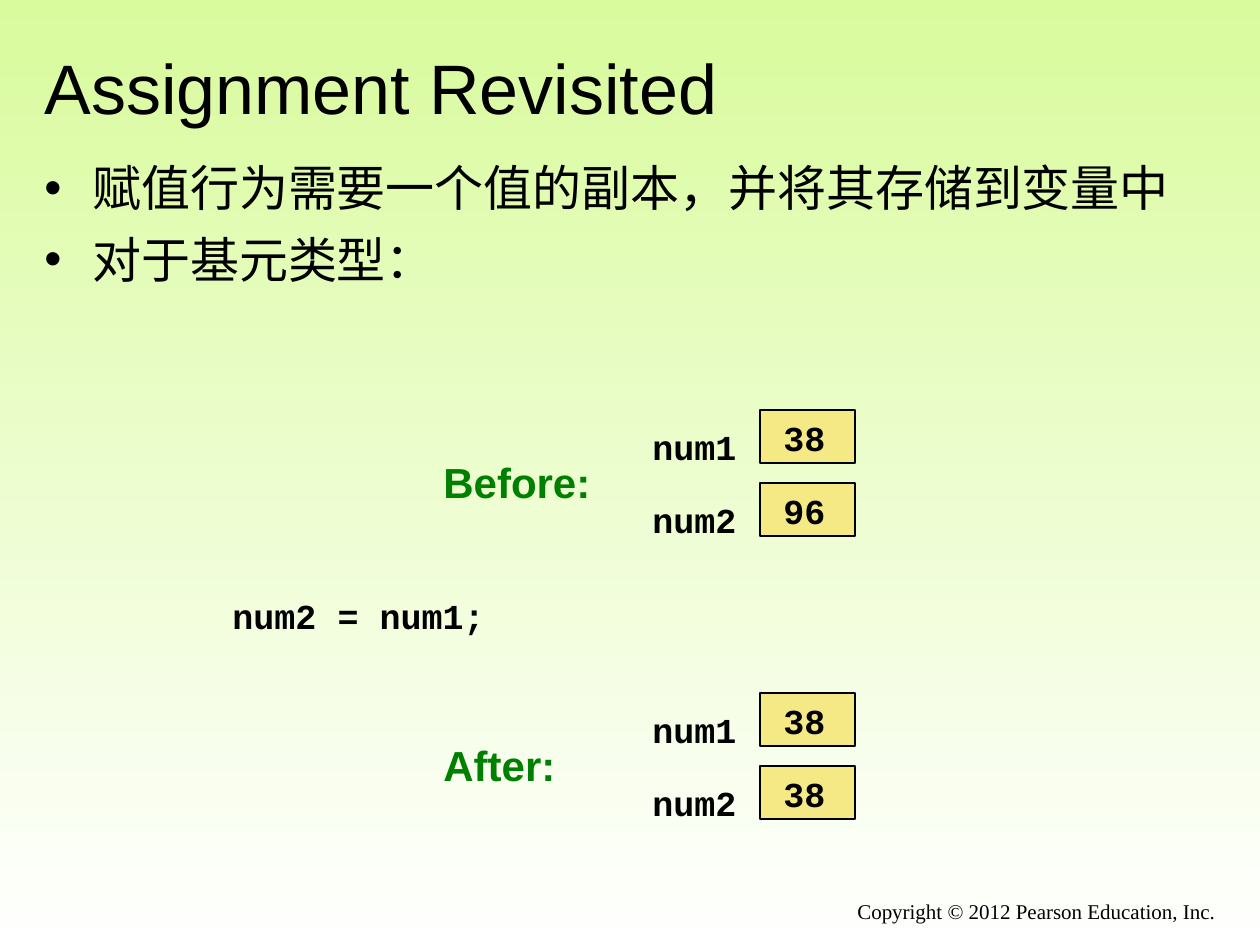
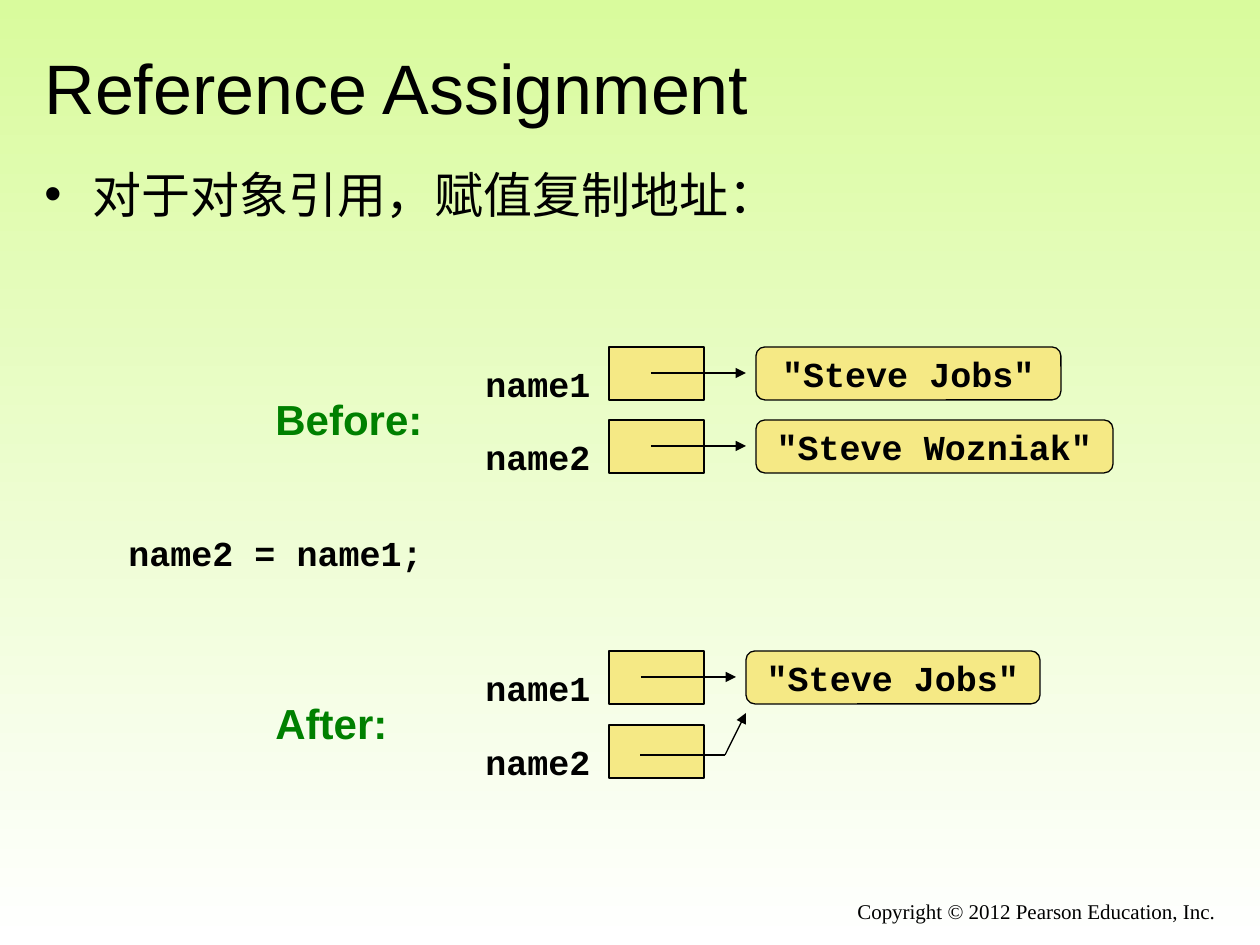
from dataclasses import dataclass

from lxml.etree import SubElement
from pptx import Presentation
from pptx.dml.color import RGBColor
from pptx.enum.shapes import MSO_CONNECTOR as Connector, MSO_SHAPE as Shape
from pptx.enum.text import MSO_ANCHOR as Anchor, MSO_AUTO_SIZE as AutoSize, PP_ALIGN as Align
from pptx.oxml.ns import qn
from pptx.util import Pt

SCALE = 914400 / 126


@dataclass(frozen=True)
class Theme:
    sky: str = "D9FB9D"
    paper: str = "FFFFFF"
    box: str = "F5E985"
    ink: str = "000000"
    stage: str = "008000"
    line: float = 0.75
    title_size: int = 40
    body_size: int = 28
    stage_size: int = 24
    code_size: int = 20
    footer_size: int = 12


theme = Theme()
STYLES = {
    "title": (theme.ink, dict(name="Arial", size=Pt(theme.title_size), bold=False)),
    "body": (theme.ink, dict(name="Arial", size=Pt(theme.body_size), bold=False)),
    "stage": (theme.stage, dict(name="Arial", size=Pt(theme.stage_size), bold=True)),
    "code": (theme.ink, dict(name="Courier New", size=Pt(theme.code_size), bold=True)),
    "footer": (theme.ink, dict(name="Times New Roman", size=Pt(theme.footer_size), bold=False)),
}
LABEL_FRAME = dict(word_wrap=False, auto_size=AutoSize.NONE)
OBJECT_FRAME = dict(word_wrap=False, vertical_anchor=Anchor.MIDDLE)
BOX_WIDTH, BOX_HEIGHT = 95, 53
LABEL_HEIGHT = 55

SLIDES = [
    dict(
        title="Assignment Revisited",
        bullets=["赋值行为需要一个值的副本，并将其存储到变量中", "对于基元类型："],
        body=(32, 158, 1197, 246),
        first_line_spacing=0.9,
        code=("num2 = num1;", (220, 588, 282, LABEL_HEIGHT)),
        variables=["num1", "num2"],
        columns=dict(stage=431, label=640, box=760),
        label_width=112,
        stages=[
            dict(name="Before:", width=176, tops=[410, 483], values=["38", "96"]),
            dict(name="After:", width=140, tops=[693, 766], values=["38", "38"]),
        ],
    ),
    dict(
        title="Reference Assignment",
        bullets=["对于对象引用，赋值复制地址："],
        body=(32, 158, 1176, 158),
        first_line_spacing=1.0,
        code=("name2 = name1;", (116, 525, 324, LABEL_HEIGHT)),
        variables=["name1", "name2"],
        columns=dict(stage=263, label=473, box=609),
        label_width=134,
        stages=[
            dict(name="Before:", width=176, tops=[347, 420], object_left=756,
                 objects=[('"Steve Jobs"', 305), ('"Steve Wozniak"', 357)]),
            dict(name="After:", width=140, tops=[651, 725], object_left=746,
                 objects=[('"Steve Jobs"', 294)],
                 bent_line=[(725, 755, 640, 755, False), (725, 755, 746, 713, True)]),
        ],
    ),
]


def emu(*lengths):
    return [round(length * SCALE) for length in lengths]


def write(shape, text, style, align=Align.LEFT, **frame_values):
    color, font_values = STYLES[style]
    frame = shape.text_frame
    frame.text = text
    for name, value in frame_values.items():
        setattr(frame, name, value)
    for paragraph in frame.paragraphs:
        paragraph.alignment = align
        for run in paragraph.runs:
            run.font.color.rgb = RGBColor.from_string(color)
            for name, value in font_values.items():
                setattr(run.font, name, value)


presentation = Presentation()
presentation.slide_width, presentation.slide_height = emu(1260, 945)

background = presentation.slide_master.background.fill
background.gradient()
background.gradient_angle = 270
for stop, color in zip(background.gradient_stops, (theme.sky, theme.paper)):
    stop.color.rgb = RGBColor.from_string(color)

for content in SLIDES:
    slide = presentation.slides.add_slide(presentation.slide_layouts[5])
    title = slide.shapes.title
    title.left, title.top, title.width, title.height = emu(32, 38, 1197, 98)
    write(title, content["title"], "title", word_wrap=True,
          auto_size=AutoSize.NONE, vertical_anchor=Anchor.MIDDLE)

    body = slide.shapes.add_textbox(*emu(*content["body"]))
    write(body, "\n".join(content["bullets"]), "body", word_wrap=True)
    for index, paragraph in enumerate(body.text_frame.paragraphs):
        paragraph.line_spacing = 1.0 if index else content["first_line_spacing"]
        paragraph.space_before = Pt(7 if index else 0)
        properties = paragraph._p.get_or_add_pPr()
        indent, = emu(48)
        properties.set("marL", str(indent))
        properties.set("indent", str(-indent))
        bullet_color = SubElement(properties, qn("a:buClr"))
        SubElement(bullet_color, qn("a:srgbClr"), val=theme.ink)
        SubElement(properties, qn("a:buFont"), typeface="Arial")
        SubElement(properties, qn("a:buChar"), char="•")

    code_text, code_place = content["code"]
    write(slide.shapes.add_textbox(*emu(*code_place)), code_text, "code", **LABEL_FRAME)

    columns = content["columns"]
    for stage in content["stages"]:
        group = slide.shapes.add_group_shape().shapes
        tops = stage["tops"]
        boxes = [(Shape.RECTANGLE, columns["box"], top, BOX_WIDTH, "") for top in tops]
        labels = [(name, "code", columns["label"], top + 9, content["label_width"], LABEL_HEIGHT)
                  for name, top in zip(content["variables"], tops)]
        labels += [(value, "code", columns["box"] + 11, top, 70, LABEL_HEIGHT)
                   for value, top in zip(stage.get("values", []), tops)]
        labels.append((stage["name"], "stage", columns["stage"], tops[0] + 40, stage["width"], 63))

        lines = list(stage.get("bent_line", []))
        for (text, width), top in zip(stage.get("objects", []), tops):
            left, middle = stage["object_left"], top + 26
            boxes.append((Shape.ROUNDED_RECTANGLE, left, top, width, text))
            lines.append((left - 105, middle, left - 10, middle, True))

        for kind, left, top, width, text in boxes:
            shape = group.add_shape(kind, *emu(left, top, width, BOX_HEIGHT))
            shape.shadow.inherit = False
            shape.fill.solid()
            shape.fill.fore_color.rgb = RGBColor.from_string(theme.box)
            shape.line.color.rgb = RGBColor.from_string(theme.ink)
            shape.line.width = Pt(theme.line)
            if text:
                write(shape, text, "code", Align.CENTER, **OBJECT_FRAME)

        for text, style, *place in labels:
            write(group.add_textbox(*emu(*place)), text, style, **LABEL_FRAME)

        for *ends, has_arrow in lines:
            connector = group.add_connector(Connector.STRAIGHT, *emu(*ends))
            connector.line.color.rgb = RGBColor.from_string(theme.ink)
            connector.line.width = Pt(theme.line)
            if has_arrow:
                SubElement(connector.line._get_or_add_ln(), qn("a:tailEnd"), type="triangle")
            SubElement(connector._element.spPr, qn("a:effectLst"))

    footer = slide.shapes.add_textbox(*emu(462, 892, 766, 43))
    write(footer, "Copyright © 2012 Pearson Education, Inc.", "footer", Align.RIGHT, word_wrap=True)

presentation.save("out.pptx")
